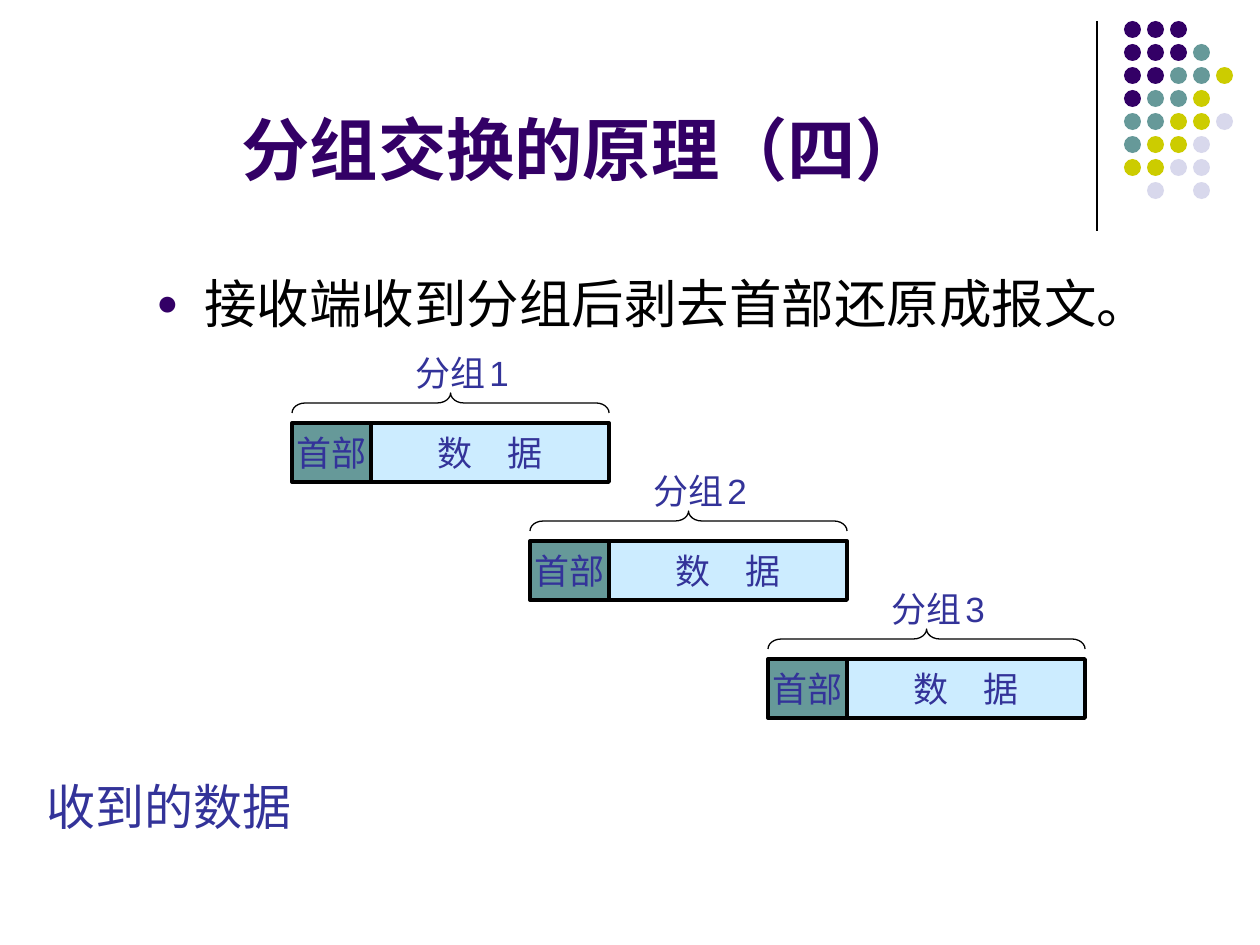
from dataclasses import dataclass

from lxml import etree
from pptx import Presentation
from pptx.dml.color import RGBColor
from pptx.enum.shapes import MSO_CONNECTOR, MSO_SHAPE
from pptx.enum.text import MSO_ANCHOR, MSO_AUTO_SIZE, PP_ALIGN
from pptx.oxml.ns import qn
from pptx.shapes.autoshape import Shape
from pptx.slide import Slide
from pptx.util import Emu, Pt

ELLIPSE, RECTANGLE, BRACE = MSO_SHAPE.OVAL, MSO_SHAPE.RECTANGLE, MSO_SHAPE.LEFT_BRACE
LEFT, CENTER = PP_ALIGN.LEFT, PP_ALIGN.CENTER
MIDDLE, BOTTOM = MSO_ANCHOR.MIDDLE, MSO_ANCHOR.BOTTOM
NO_FIT = MSO_AUTO_SIZE.NONE

EMU_PER_PX = 914400 / 126
PURPLE, TEAL, INDIGO, BLACK = "330066", "669999", "333399", "000000"
PALE_BLUE = "CCECFF"
DOT_COLORS = {"P": PURPLE, "T": TEAL, "Y": "CCCC00", "L": "D8D8EC"}
DOT_ROWS = ["PPP", "PPPT", "PPTTY", "PTTY", "TTYYL", "TYYL", "YYLL", " L L"]
DOT_LEFT, DOT_TOP, DOT_PITCH, DOT_SIZE = 1124, 21, 23, 17
HEADER_WIDTH, DATA_WIDTH, PACKET_HEIGHT = 79, 238, 59
BRACE_HEIGHT, BRACE_RISE, LABEL_RISE = 20, 30, 78


@dataclass
class Packet:
    number: int
    left: int
    top: int


PACKETS = [Packet(i + 1, 292 + i * DATA_WIDTH, 423 + i * 118) for i in range(3)]


def px(length: float) -> Emu:
    return Emu(round(length * EMU_PER_PX))


def rgb(color: str) -> RGBColor:
    return RGBColor.from_string(color)


def set_font(font, size: float, color: str, name: str = "Cabin", bold: bool = False) -> None:
    font.size, font.name, font.bold = Pt(size), name, bold
    font.color.rgb = rgb(color)


def add_filled(slide: Slide, kind, left: int, top: int, width: int, height: int,
               color: str) -> Shape:
    shape = slide.shapes.add_shape(kind, px(left), px(top), px(width), px(height))
    shape.shadow.inherit = False
    shape.fill.solid()
    shape.fill.fore_color.rgb = rgb(color)
    shape.line.fill.background()
    return shape


def add_text(slide: Slide, left: int, top: int, width: int, height: int, text: str = ""):
    """Add a text box and return its only paragraph."""
    box = slide.shapes.add_textbox(px(left), px(top), px(width), px(height))
    box.text_frame.word_wrap = True
    box.text_frame.auto_size = NO_FIT
    paragraph = box.text_frame.paragraphs[0]
    paragraph.text = text
    paragraph.alignment = LEFT
    return paragraph


def add_field(slide: Slide, left: int, top: int, width: int, color: str, text: str) -> None:
    """Draw one outlined field of a packet."""
    field = add_filled(slide, RECTANGLE, left, top, width, PACKET_HEIGHT, color)
    field.line.color.rgb = rgb(BLACK)
    field.line.width = Pt(2.25)
    frame = field.text_frame
    frame.word_wrap = False
    frame.vertical_anchor = MIDDLE
    paragraph = frame.paragraphs[0]
    paragraph.text = text
    paragraph.alignment = CENTER
    set_font(paragraph.font, 20, INDIGO)


def add_brace(slide: Slide, left: int, top: int, width: int) -> None:
    """Draw a brace that lies flat with its point upwards."""
    center_x, center_y = left + width / 2, top + BRACE_HEIGHT / 2
    brace = slide.shapes.add_shape(
        BRACE, px(center_x - BRACE_HEIGHT / 2), px(center_y - width / 2),
        px(BRACE_HEIGHT), px(width))
    brace.rotation = 90
    brace.adjustments[0] = 0.66
    brace.shadow.inherit = False
    brace.fill.background()
    brace.line.color.rgb = rgb(BLACK)
    brace.line.width = Pt(0.75)


def add_packet(slide: Slide, packet: Packet) -> None:
    left, top = packet.left, packet.top
    add_field(slide, left + HEADER_WIDTH, top, DATA_WIDTH, PALE_BLUE, "数　据")
    add_field(slide, left, top, HEADER_WIDTH, TEAL, "首部")
    add_brace(slide, left, top - BRACE_RISE, HEADER_WIDTH + DATA_WIDTH)
    label = add_text(slide, left + 111, top - LABEL_RISE, 140, 55)
    for text, size, name in (("分组", 20, "Cabin"), (" ", 10, "Arial"),
                             (str(packet.number), 20, "Arial")):
        run = label.add_run()
        run.text = text
        set_font(run.font, size, INDIGO, name)


def add_dots(slide: Slide) -> None:
    for row, keys in enumerate(DOT_ROWS):
        for column, key in enumerate(keys):
            if key in DOT_COLORS:
                add_filled(slide, ELLIPSE, DOT_LEFT + column * DOT_PITCH,
                           DOT_TOP + row * DOT_PITCH, DOT_SIZE, DOT_SIZE, DOT_COLORS[key])


def add_divider(slide: Slide) -> None:
    line = slide.shapes.add_connector(
        MSO_CONNECTOR.STRAIGHT, px(1097), px(21), px(1097), px(231))
    line.line.color.rgb = rgb(BLACK)
    line.line.width = Pt(0.75)
    etree.SubElement(line._element.spPr, qn("a:effectLst"))


def set_title(slide: Slide, text: str) -> None:
    title = slide.shapes.title
    title.left, title.top, title.width, title.height = px(63), px(16), px(1040), px(179)
    frame = title.text_frame
    frame.auto_size = NO_FIT
    frame.vertical_anchor = BOTTOM
    paragraph = frame.paragraphs[0]
    paragraph.text = text
    paragraph.alignment = CENTER
    set_font(paragraph.font, 39, PURPLE, "Arial", bold=True)


def add_bullet(paragraph, color: str, indent: int) -> None:
    properties = paragraph._p.get_or_add_pPr()
    properties.set("marL", str(px(indent)))
    properties.set("indent", str(-px(indent)))
    bullet_color = etree.Element(qn("a:buClr"))
    etree.SubElement(bullet_color, qn("a:srgbClr"), val=color)
    bullet_size = etree.Element(qn("a:buSzPct"), val="70000")
    bullet_font = etree.Element(qn("a:buFont"), typeface="Arial")
    bullet = etree.Element(qn("a:buChar"), char="●")
    position = 1 if properties.find(qn("a:spcBef")) is not None else 0
    properties[position:position] = [bullet_color, bullet_size, bullet_font, bullet]


def main() -> None:
    presentation = Presentation()
    presentation.slide_width, presentation.slide_height = px(1260), px(945)
    slide = presentation.slides.add_slide(presentation.slide_layouts[5])

    add_divider(slide)
    add_dots(slide)
    set_title(slide, "分组交换的原理（四）")

    statement = add_text(slide, 144, 265, 1082, 139, "接收端收到分组后剥去首部还原成报文。")
    statement.space_before = Pt(7.5)
    set_font(statement.font, 30, BLACK, "Arial")
    add_bullet(statement, PURPLE, 48)

    for packet in PACKETS:
        add_packet(slide, packet)

    received = add_text(slide, 34, 770, 277, 72, "收到的数据")
    received.space_before = Pt(17.5)
    set_font(received.font, 28, INDIGO)

    presentation.save("out.pptx")


if __name__ == "__main__":
    main()
